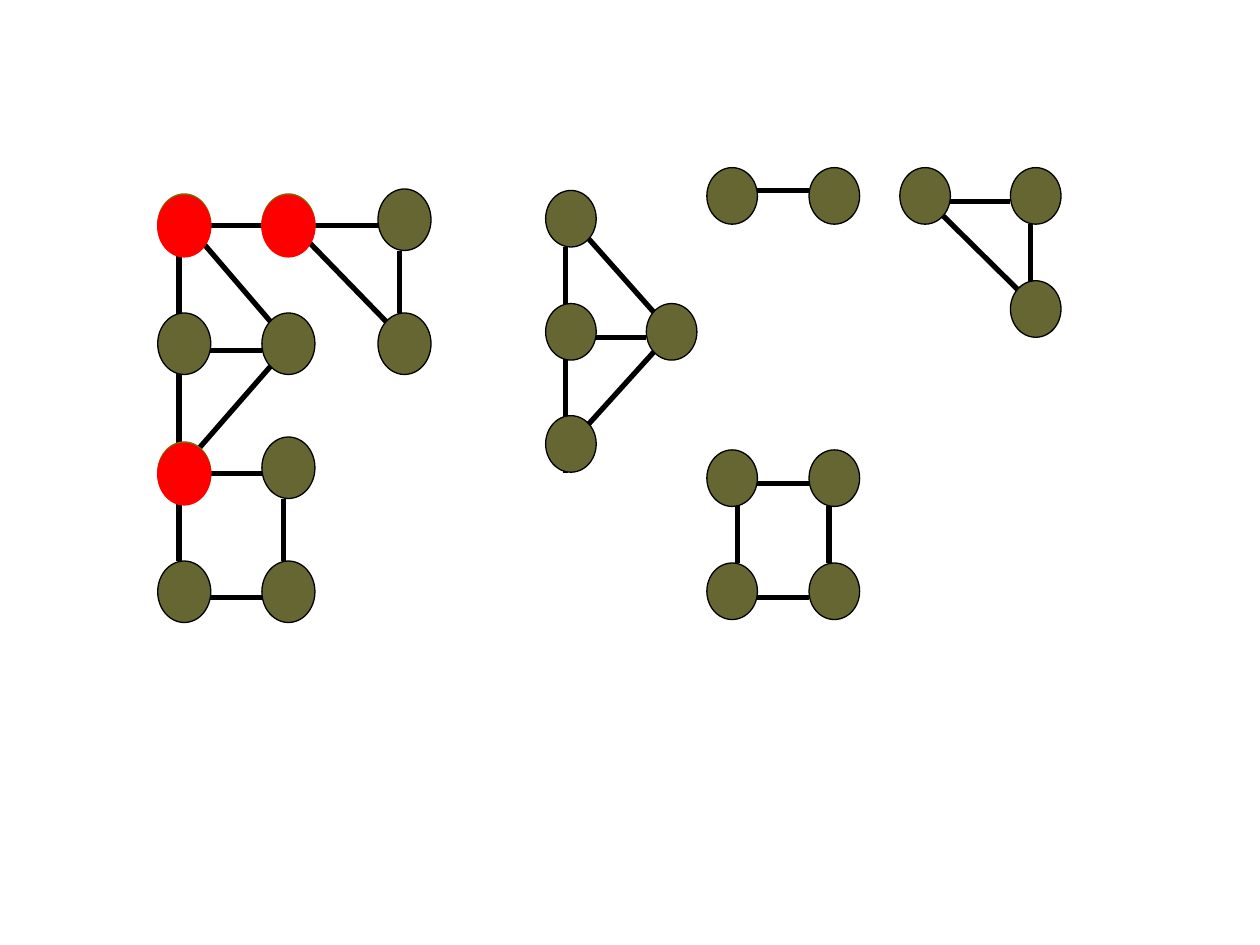
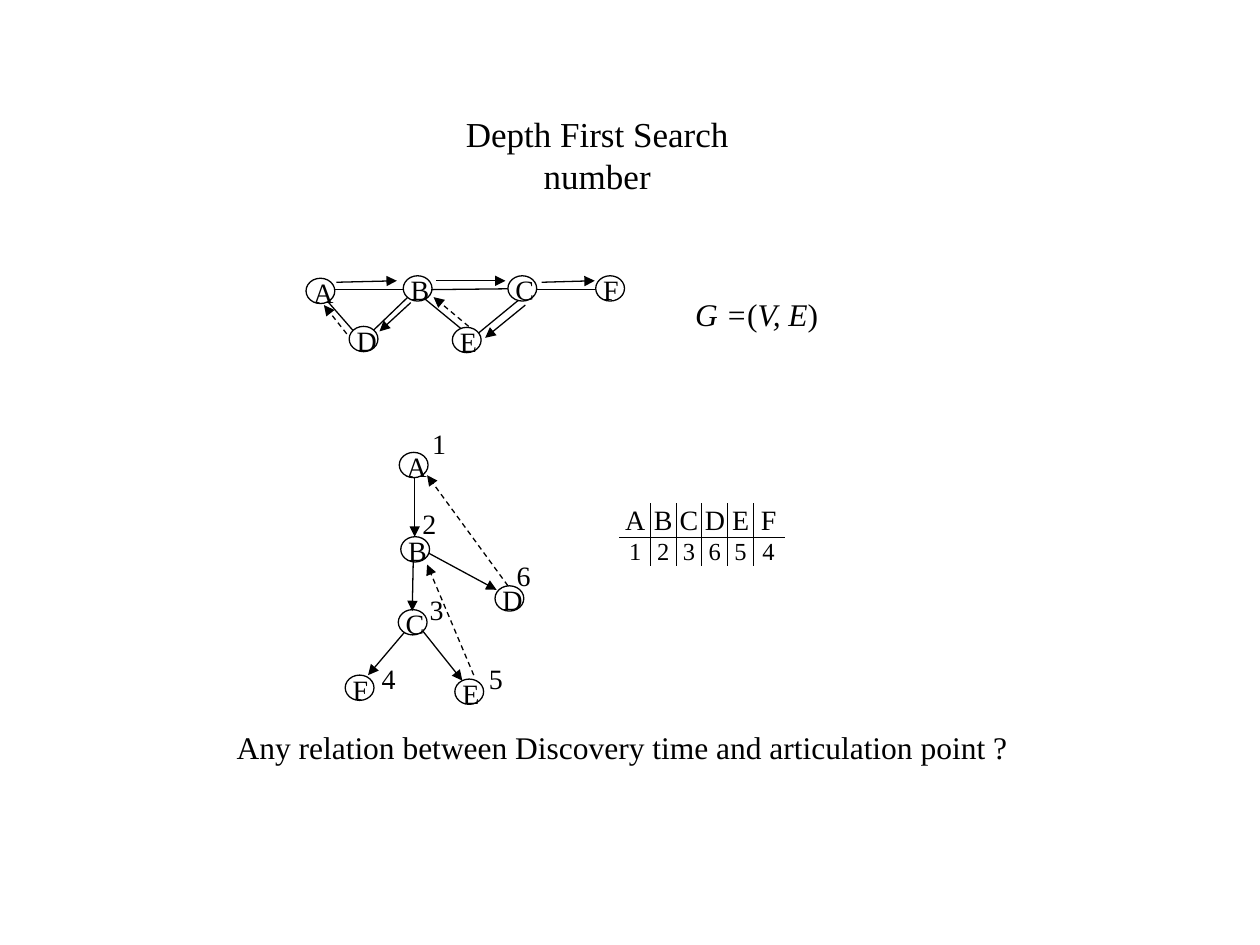
from pptx import Presentation
from pptx import util as u
from pptx.dml.color import RGBColor
from pptx.enum import dml, shapes, text
from pptx.oxml import ns, xmlchemy

FONT = "Times New Roman"
BLACK, WHITE = "000000", "FFFFFF"
OLIVE, MUSTARD, RED = "666633", "737300", "FF0000"


def colour(value):
    return RGBColor.from_string(value)


class Sketch:
    """Holds the deck style and the current slide; lengths are centimetres."""

    def __init__(self):
        self.deck = Presentation()
        self.deck.slide_width, self.deck.slide_height = u.Cm(25.4), u.Cm(19.05)
        self.page = None

    def new_page(self):
        self.page = self.deck.slides.add_slide(self.deck.slide_layouts[6])
        self.page.background.fill.solid()
        self.page.background.fill.fore_color.rgb = colour(WHITE)

    def ellipse(self, left, top, width, height, fill, line=BLACK):
        shape = self.page.shapes.add_shape(
            shapes.MSO_SHAPE.OVAL, *map(u.Cm, (left, top, width, height)))
        shape.shadow.inherit = False
        shape.fill.solid()
        shape.fill.fore_color.rgb = colour(fill)
        shape.line.color.rgb = colour(line)
        shape.line.width = u.Pt(0.75)

    def line(self, x1, y1, x2, y2, width=0.75, dashed=False, arrow=False):
        connector = self.page.shapes.add_connector(
            shapes.MSO_CONNECTOR.STRAIGHT, *map(u.Cm, (x1, y1, x2, y2)))
        connector.line.color.rgb = colour(BLACK)
        connector.line.width = u.Pt(width)
        if dashed:
            connector.line.dash_style = dml.MSO_LINE.DASH
        properties = connector._element.spPr
        if arrow:
            head = xmlchemy.OxmlElement("a:tailEnd")
            head.set("type", "triangle")
            properties.find(ns.qn("a:ln")).append(head)
        properties.append(xmlchemy.OxmlElement("a:effectLst"))

    def span(self, para, words, size, italic=False):
        span = para.add_run()
        span.text = words
        span.font.name = FONT
        span.font.size = u.Pt(size)
        span.font.italic = italic
        span.font.color.rgb = colour(BLACK)

    def text(self, left, top, width, height, spans, size, align="CENTER"):
        """Set spans, a list of (words, italic) pairs, as one paragraph."""
        box = self.page.shapes.add_textbox(*map(u.Cm, (left, top, width, height)))
        frame = box.text_frame
        frame.word_wrap = True
        frame.vertical_anchor = text.MSO_ANCHOR.MIDDLE
        para = frame.paragraphs[0]
        para.alignment = text.PP_ALIGN[align]
        for words, italic in spans:
            self.span(para, words, size, italic)

    def vertex(self, letter, left, top):
        self.ellipse(left, top, 0.58, 0.51, WHITE)
        self.text(left - 0.1, top - 0.19, 0.81, 0.94, [(letter, False)], 16)

    def border(self, cell, sides):
        """Rule the given sides of a cell, named in the order L, R, T, B."""
        properties = cell._tc.get_or_add_tcPr()
        for position, side in enumerate(sides):
            rule = xmlchemy.OxmlElement(f"a:ln{side}")
            rule.set("w", str(u.Pt(0.75)))
            fill = xmlchemy.OxmlElement("a:solidFill")
            shade = xmlchemy.OxmlElement("a:srgbClr")
            shade.set("val", BLACK)
            fill.append(shade)
            rule.append(fill)
            properties.insert(position, rule)

    def table(self, left, top, widths, heights, rows, sizes):
        """A table ruled only between its cells."""
        frame = self.page.shapes.add_table(
            len(rows), len(widths),
            *map(u.Cm, (left, top, sum(widths), sum(heights))))
        grid = frame.table
        grid.first_row = grid.horz_banding = False
        for column, width in zip(grid.columns, widths):
            column.width = u.Cm(width)
        for r, (row, height, size) in enumerate(zip(rows, heights, sizes)):
            grid.rows[r].height = u.Cm(height)
            for c, words in enumerate(row):
                cell = grid.cell(r, c)
                cell.margin_left = cell.margin_right = 0
                cell.margin_top = cell.margin_bottom = 0
                cell.vertical_anchor = text.MSO_ANCHOR.MIDDLE
                cell.fill.background()
                para = cell.text_frame.paragraphs[0]
                para.alignment = text.PP_ALIGN.CENTER
                self.span(para, words, size)
                inner = {"L": c > 0, "R": c < len(row) - 1,
                         "T": r > 0, "B": r < len(rows) - 1}
                self.border(cell, [side for side in inner if inner[side]])


def components_page(sketch):
    sketch.new_page()

    # Edges of the connected graph, then of its separated components
    edges = [
        (4.01, 9.04, 5.51, 7.32), (4.01, 4.8, 5.51, 6.55),
        (3.61, 5.05, 3.61, 11.3), (6.15, 4.8, 7.85, 6.55),
        (6.35, 4.55, 7.62, 4.55), (8.05, 5.05, 8.05, 6.3),
        (5.72, 10.06, 5.72, 11.3),
        (11.81, 8.61, 13.23, 7.04), (11.81, 4.75, 13.23, 6.35),
        (11.4, 4.98, 11.4, 9.53), (12.01, 6.81, 13.03, 6.81),
        (18.95, 4.29, 20.57, 5.89), (19.15, 4.06, 20.37, 4.06),
        (20.78, 4.52, 20.78, 5.66),
        (14.86, 10.21, 14.86, 11.35), (16.71, 10.21, 16.71, 11.35),
    ]
    edges += [(4.24, y, 5.28, y) for y in (4.55, 7.06, 9.55, 12.04)]
    edges += [(15.27, y, 16.31, y) for y in (3.84, 9.75, 12.04)]
    for edge in edges:
        sketch.line(*edge, width=3)

    # Vertices of the connected graph, on a grid of columns and rows
    columns = (3.18, 5.28, 7.62)
    rows = [3.81 + 2.5 * i for i in range(4)]
    for c, r in ((2, 0), (0, 1), (1, 1), (2, 1), (1, 2), (0, 3), (1, 3)):
        sketch.ellipse(columns[c], rows[r], 1.07, 1.24, OLIVE)
    for c, r in ((0, 0), (1, 0), (0, 2)):
        for drop, shade in ((0.1, MUSTARD), (0.13, RED)):
            sketch.ellipse(columns[c], rows[r] + drop, 1.07, 1.24, shade, shade)

    # Vertices of the components: kite, pair, square, triangle
    kite = [(11, 3.84), (11, 6.12), (11, 8.38), (13.03, 6.12)]
    pair_and_square = [(x, y) for x in (14.25, 16.31) for y in (3.38, 9.07, 11.35)]
    triangle = [(18.14, 3.38), (20.37, 3.38), (20.37, 5.66)]
    for left, top in kite + pair_and_square + triangle:
        sketch.ellipse(left, top, 1.02, 1.14, OLIVE)


def search_page(sketch):
    sketch.new_page()
    sketch.text(8.09, 2.57, 7.9, 1.1, [("Depth First Search number", False)], 20)

    # Graph: edges, vertices, then the walk and its back edges
    for edge in ((6.53, 5.99, 7.29, 6.86), (6.48, 5.84, 8.56, 5.84),
                 (8.56, 5.84, 10.39, 5.82), (9.65, 6.71, 10.49, 6.02),
                 (8.43, 5.79, 7.37, 6.81), (8.46, 5.94, 9.3, 6.63),
                 (10.82, 5.84, 12.04, 5.84)):
        sketch.line(*edge)
    graph = [("B", 8.13, 5.56), ("D", 7.04, 6.58), ("E", 9.12, 6.6),
             ("A", 6.17, 5.61), ("C", 10.24, 5.56), ("F", 12.01, 5.56)]
    tree = [("B", 8.08, 10.82), ("D", 9.98, 11.81), ("E", 9.17, 13.69),
            ("A", 8.05, 9.12), ("C", 8.03, 12.29), ("F", 6.96, 13.61)]
    for vertex in graph + tree:
        sketch.vertex(*vertex)
    walk = [(6.78, 5.69, 8, 5.66), (8.79, 5.66, 10.19, 5.66),
            (10.92, 5.69, 11.99, 5.66), (10.59, 6.15, 9.78, 6.81),
            (8.28, 6.1, 7.65, 6.68)]
    walk_back = [(6.99, 6.73, 6.53, 6.15), (9.45, 6.58, 8.74, 5.99)]

    # Search tree: branches, back edges and discovery numbers
    branches = [(8.36, 9.63, 8.36, 10.82), (8.33, 11.33, 8.31, 12.32),
                (8.15, 12.75, 7.42, 13.61), (8.53, 12.73, 9.32, 13.72),
                (8.64, 11.15, 10.01, 11.89)]
    branches_back = [(10.24, 11.81, 8.61, 9.58), (9.55, 13.61, 8.61, 11.38)]
    for arrow in walk + branches:
        sketch.line(*arrow, arrow=True)
    for arrow in walk_back + branches_back:
        sketch.line(*arrow, dashed=True, arrow=True)
    numbers = [(8.46, 8.46), (8.26, 10.08), (8.41, 11.81),
               (7.44, 13.21), (9.6, 13.21), (10.16, 11.13)]
    for number, (left, top) in enumerate(numbers, start=1):
        sketch.text(left, top, 0.79, 0.94, [(str(number), False)], 16)

    # Formula, table of numbers and closing question
    sketch.text(13.72, 5.82, 3.07, 1.02,
                [("G =", True), ("(", False), ("V, E", True), (")", False)], 18)
    sketch.table(12.5, 10.16, [0.61] + [0.52] * 4 + [0.61], [0.66, 0.56],
                 ["ABCDEF", "123654"], [16, 14])
    question = "Any relation between Discovery time and articulation point ?"
    sketch.text(4.52, 14.42, 16.28, 1.27, [(question, False)], 18, "LEFT")


def main():
    sketch = Sketch()
    components_page(sketch)
    search_page(sketch)
    sketch.deck.save("out.pptx")


if __name__ == "__main__":
    main()
